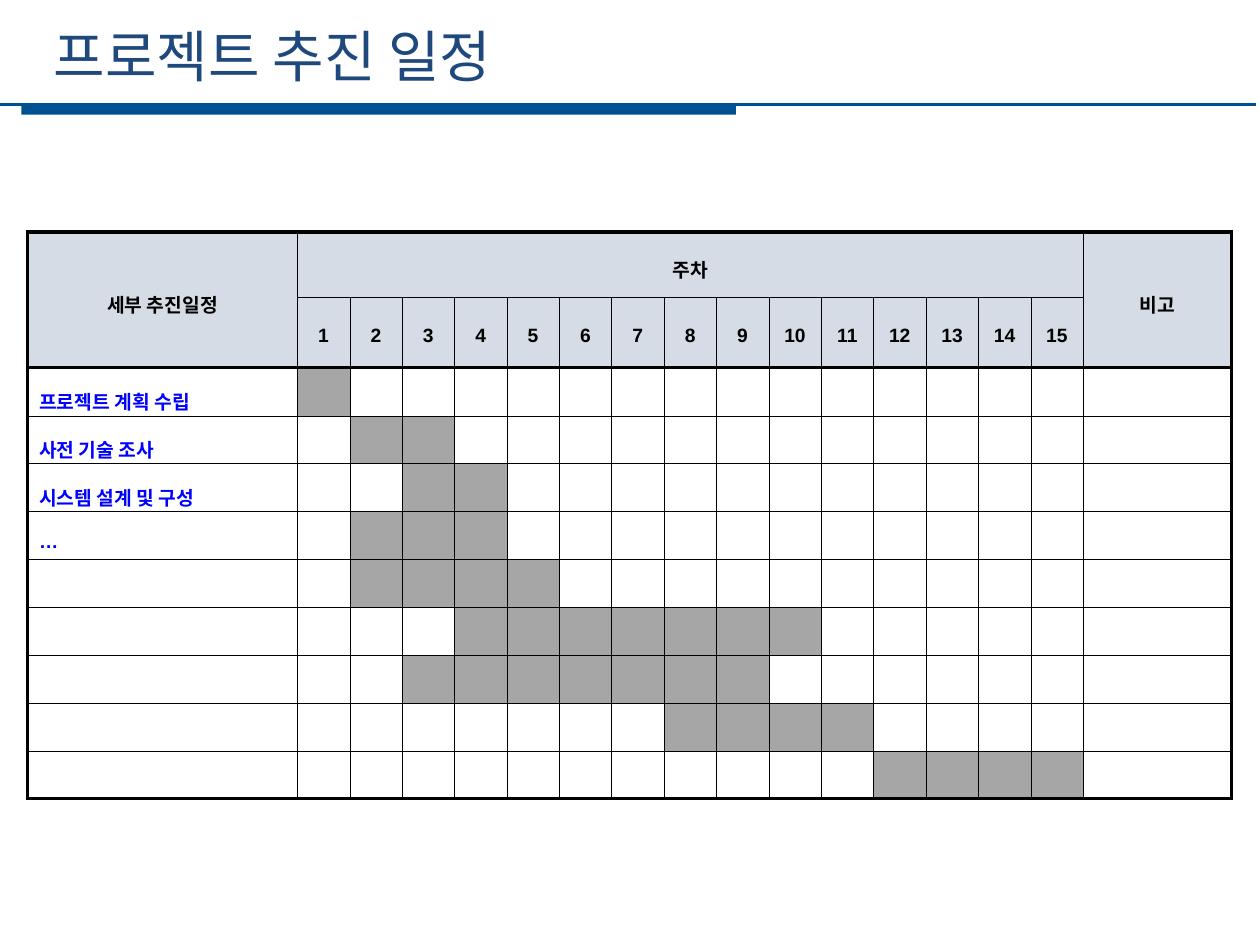
from pptx import Presentation
from pptx.dml.color import RGBColor
from pptx.enum.shapes import MSO_CONNECTOR, MSO_SHAPE
from pptx.enum.text import MSO_ANCHOR, PP_ALIGN
from pptx.oxml.ns import qn
from pptx.util import Inches, Pt
from lxml.etree import SubElement

TITLE = "프로젝트 추진 일정"
TASK_HEAD, WEEK_HEAD, NOTE_HEAD = "세부 추진일정", "주차", "비고"
WEEKS = 15
# Task name, first week, last week
TASKS = [
    ("프로젝트 계획 수립", 1, 1),
    ("사전 기술 조사", 2, 3),
    ("시스템 설계 및 구성", 3, 4),
    ("…", 2, 4),
    ("", 2, 5),
    ("", 4, 10),
    ("", 3, 9),
    ("", 8, 11),
    ("", 12, 15),
]

NAVY = RGBColor(0x1F, 0x49, 0x7D)
BLUE = RGBColor(0x00, 0x50, 0x94)
LINK = RGBColor(0x00, 0x00, 0xFF)
BLACK = RGBColor(0x00, 0x00, 0x00)
PALE = RGBColor(0xD6, 0xDC, 0xE5)
GRAY = RGBColor(0xA6, 0xA6, 0xA6)
LATIN, KOREAN = "Arial", "Noto Sans CJK KR"

WIDTH, TASK_W, NOTE_W = 9.56, 2.14, 1.18
HEADS, ROW_H = [0.52, 0.56], 0.38
THIN, RULE, FRAME = 0.28, 1.98, 2.25


def style(par, font, size, color, bold=False):
    """Format every run of a paragraph, East Asian font included."""
    for run in par.runs:
        run.font.name, run.font.size = font, Pt(size)
        run.font.bold, run.font.color.rgb = bold, color
        SubElement(run.font._element, qn("a:ea"), typeface=KOREAN)


def border(cell, row, col, rows, cols):
    """Draw a heavy frame, a rule under the heads and thin lines inside."""
    sides = {
        "L": FRAME if col == 0 else THIN,
        "R": FRAME if col == cols - 1 else THIN,
        "T": FRAME if row == 0 else RULE if row == 2 else THIN,
        "B": FRAME if row == rows - 1 else RULE if row == 1 else THIN,
    }
    props = cell._tc.get_or_add_tcPr()
    for side, width in sides.items():
        line = SubElement(props, qn(f"a:ln{side}"), w=str(Pt(width)))
        fill = SubElement(line, qn("a:solidFill"))
        SubElement(fill, qn("a:srgbClr"), val=str(BLACK))


def write(cell, text, color, align, space):
    """Put bold text into a table cell."""
    cell.text_frame.text = text
    par = cell.text_frame.paragraphs[0]
    par.alignment, par.line_spacing = align, space
    style(par, LATIN, 11, color, True)
    return par


def head(slide):
    """Add the bar, the rule and the title."""
    bar = slide.shapes.add_shape(MSO_SHAPE.RECTANGLE, Inches(0.17),
                                 Inches(0.83), Inches(5.67), Inches(0.08))
    bar.shadow.inherit = False
    bar.fill.solid()
    bar.fill.fore_color.rgb = BLUE
    bar.line.fill.background()

    rule = slide.shapes.add_connector(MSO_CONNECTOR.STRAIGHT, Inches(-0.03),
                                      Inches(0.83), Inches(9.97), Inches(0.83))
    rule.line.color.rgb, rule.line.width = BLUE, Pt(1.25)
    SubElement(rule._element.spPr, qn("a:effectLst"))

    box = slide.shapes.add_textbox(Inches(0.33), Inches(0.12),
                                   Inches(8.96), Inches(0.64))
    box.text_frame.word_wrap = True
    box.text_frame.text = TITLE
    style(box.text_frame.paragraphs[0], KOREAN, 32, NAVY)


def plan(slide):
    """Add the schedule table."""
    week_w = (WIDTH - TASK_W - NOTE_W) / WEEKS
    widths = [TASK_W] + [week_w] * WEEKS + [NOTE_W]
    heights = HEADS + [ROW_H] * len(TASKS)
    rows, cols, last = len(heights), len(widths), len(widths) - 1
    table = slide.shapes.add_table(rows, cols, Inches(0.22), Inches(1.84),
                                   Inches(WIDTH), Inches(sum(heights))).table
    table.first_row = table.horz_banding = False
    for col, width in zip(table.columns, widths):
        col.width = Inches(width)
    for row, height in zip(table.rows, heights):
        row.height = Inches(height)

    for r in range(rows):
        for c in range(cols):
            cell = table.cell(r, c)
            cell.vertical_anchor = MSO_ANCHOR.MIDDLE
            cell.margin_left = cell.margin_right = Inches(0.02)
            cell.margin_top = cell.margin_bottom = Inches(0.02)
            border(cell, r, c, rows, cols)
            busy = r > 1 and TASKS[r - 2][1] <= c <= TASKS[r - 2][2]
            if r < 2 or busy:
                cell.fill.solid()
                cell.fill.fore_color.rgb = GRAY if busy else PALE
            else:
                cell.fill.background()

    table.cell(0, 0).merge(table.cell(1, 0))
    table.cell(0, 1).merge(table.cell(0, WEEKS))
    table.cell(0, last).merge(table.cell(1, last))
    for c, text in ((0, TASK_HEAD), (1, WEEK_HEAD), (last, NOTE_HEAD)):
        cell = table.cell(0, c)
        cell.margin_left = cell.margin_right = Inches(0.11)
        cell.margin_top = cell.margin_bottom = Inches(0.05)
        write(cell, text, BLACK, PP_ALIGN.CENTER, 1.3)
    for week in range(1, WEEKS + 1):
        write(table.cell(1, week), str(week), BLACK, PP_ALIGN.CENTER, 1.3)
    for r, (name, *_) in enumerate(TASKS, 2):
        if name:
            par = write(table.cell(r, 0), name, LINK, PP_ALIGN.JUSTIFY, 1.6)
            par._p.get_or_add_pPr().set("marL", str(Inches(0.07)))


prs = Presentation()
prs.slide_width, prs.slide_height = Inches(10), Inches(7.5)
page = prs.slides.add_slide(prs.slide_layouts[6])
head(page)
plan(page)
prs.save("out.pptx")
